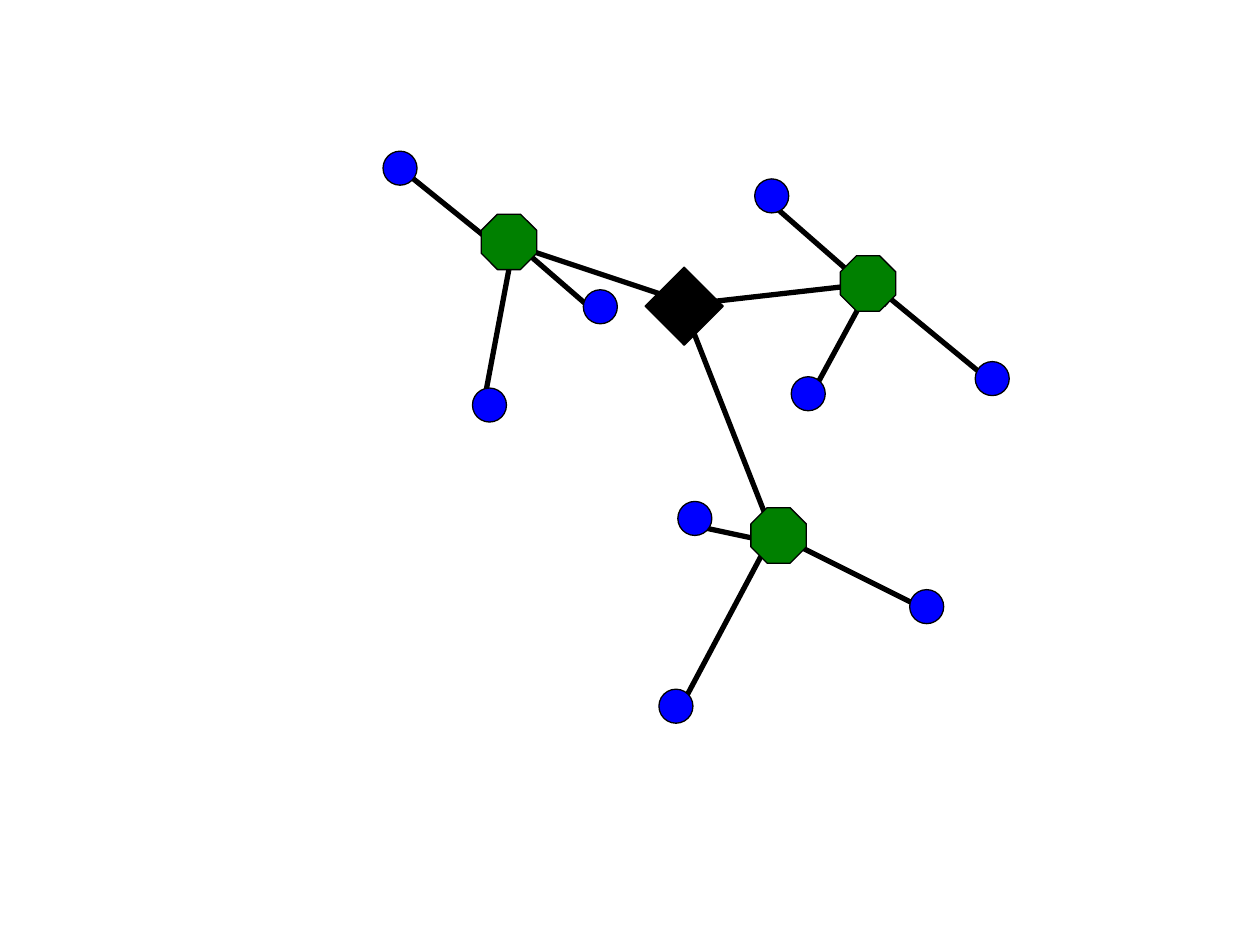
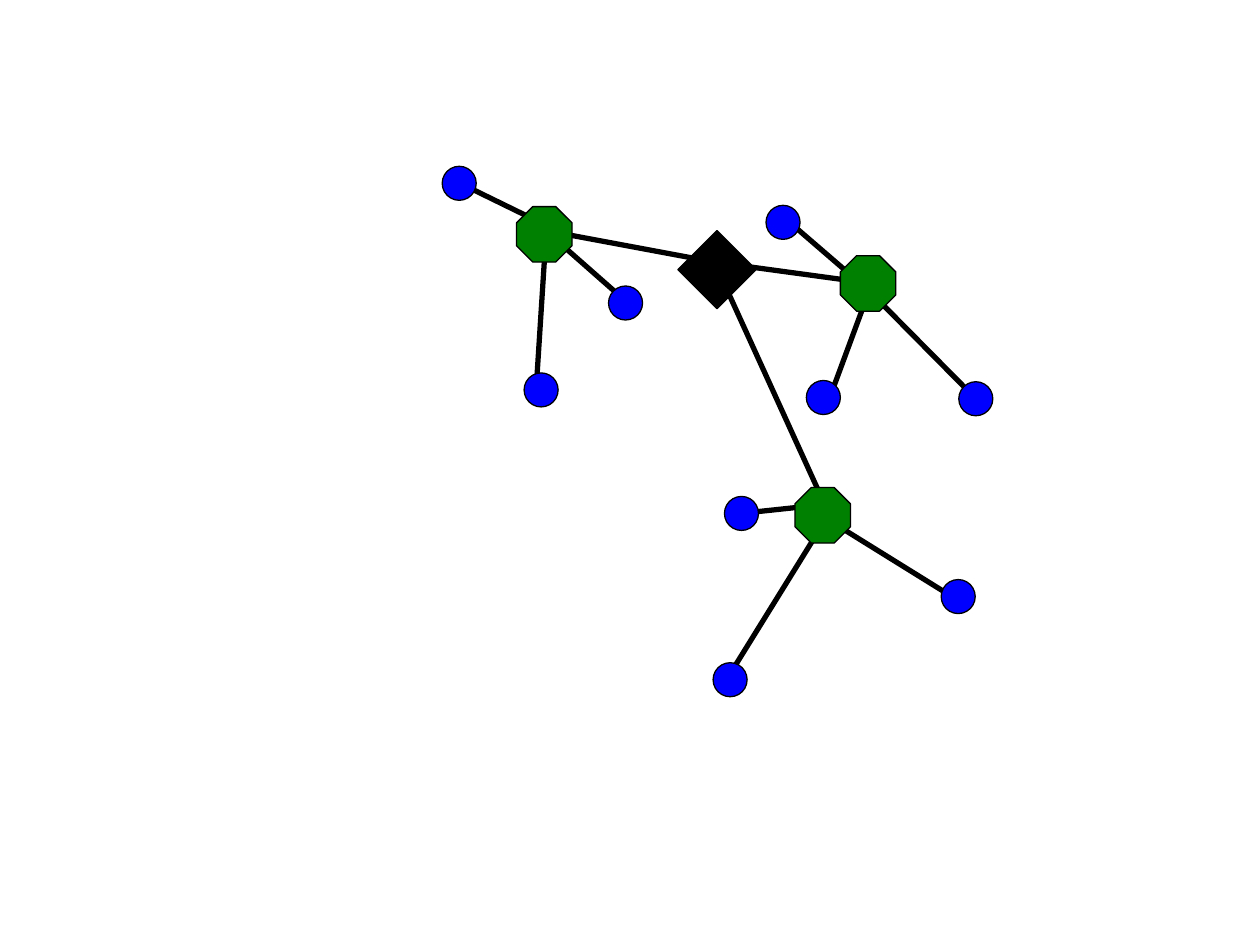
from pptx import Presentation
from pptx.dml.color import RGBColor as RGB
from pptx.enum.shapes import MSO_CONNECTOR as Link, MSO_SHAPE as Shape
from pptx.oxml.ns import qn
from pptx.util import Inches, Pt
from lxml.etree import SubElement

COLORS = {"ink": "000000", "hub": "008000", "leaf": "0000FF"}
KINDS = {
    "core": (Shape.DIAMOND, 0.62, "ink"),
    "hub": (Shape.OCTAGON, 0.44, "hub"),
    "leaf": (Shape.FLOWCHART_CONNECTOR, 0.27, "leaf"),
}
BOX = (3, 1)

FIRST = {
    "links": [
        (3.08, 0.58, 4.04, 1.42), (3.92, 1.25, 3.42, 2.17),
        (3.92, 1.25, 4.83, 2), (2.5, 3.17, 3.25, 3.33),
        (3.17, 3.17, 2.42, 4.58), (3.17, 3.25, 4.33, 3.83),
        (1, 0.92, 2.5, 1.42), (1.08, 0.92, 1.75, 1.5),
        (1.08, 0.92, 0.83, 2.25), (1, 1, 0.17, 0.33),
        (3.92, 1.25, 2.42, 1.42), (3.17, 3.33, 2.42, 1.42),
    ],
    "core": [(2.12, 1.12)],
    "hub": [(2.96, 3.03), (3.67, 1.03), (0.82, 0.7)],
    "leaf": [
        (0.75, 2.08), (2.38, 2.98), (2.23, 4.47),
        (4.22, 3.68), (4.74, 1.87), (1.63, 1.3),
        (0.04, 0.2), (2.99, 0.42), (3.28, 1.99),
    ],
}
SECOND = {
    "links": [
        (3.25, 0.75, 3.83, 1.25), (3.92, 1.25, 3.58, 2.17),
        (3.92, 1.33, 4.75, 2.17), (2.83, 3.08, 3.58, 3),
        (3.58, 3.08, 2.75, 4.42), (3.5, 3.08, 4.58, 3.75),
        (0.58, 0.42, 1.42, 0.83), (1.33, 0.83, 2, 1.42),
        (1.33, 0.92, 1.25, 2.17), (1.33, 0.83, 2.67, 1.08),
        (3.92, 1.25, 2.67, 1.08), (3.58, 3.08, 2.67, 1.08),
    ],
    "core": [(2.38, 0.83)],
    "hub": [(3.31, 2.87), (3.67, 1.03), (1.1, 0.64)],
    "leaf": [
        (1.16, 1.96), (2.75, 2.94), (2.66, 4.26),
        (4.47, 3.6), (4.61, 2.03), (1.83, 1.27),
        (0.51, 0.32), (3.08, 0.63), (3.4, 2.02),
    ],
}


def color(name):
    """Return the named colour."""
    return RGB.from_string(COLORS[name])


def add_link(slide, box, ends):
    """Draw one thick link between two points of the box."""
    left, top = box
    x1, y1, x2, y2 = ends
    link = slide.shapes.add_connector(
        Link.STRAIGHT, Inches(left + x1), Inches(top + y1),
        Inches(left + x2), Inches(top + y2))
    link.line.color.rgb = color("ink")
    link.line.width = Pt(3)
    SubElement(link._element.spPr, qn("a:effectLst"))


def add_node(slide, box, kind, spot):
    """Draw one node of the given kind at a spot of the box."""
    form, size, fill = KINDS[kind]
    node = slide.shapes.add_shape(
        form, Inches(box[0] + spot[0]), Inches(box[1] + spot[1]),
        Inches(size), Inches(size))
    node.shadow.inherit = False
    node.fill.solid()
    node.fill.fore_color.rgb = color(fill)
    node.line.color.rgb = color("ink")
    node.line.width = Pt(0.75)


def add_network(slide, box, net):
    """Draw the links of a network and its nodes on top."""
    for ends in net["links"]:
        add_link(slide, box, ends)
    for kind in KINDS:
        for spot in net[kind]:
            add_node(slide, box, kind, spot)


def main():
    """Build one slide for each state of the network."""
    deck = Presentation()
    deck.slide_width, deck.slide_height = Inches(10), Inches(7.5)
    for net in (FIRST, SECOND):
        slide = deck.slides.add_slide(deck.slide_layouts[6])
        add_network(slide, BOX, net)
    deck.save("out.pptx")


if __name__ == "__main__":
    main()
